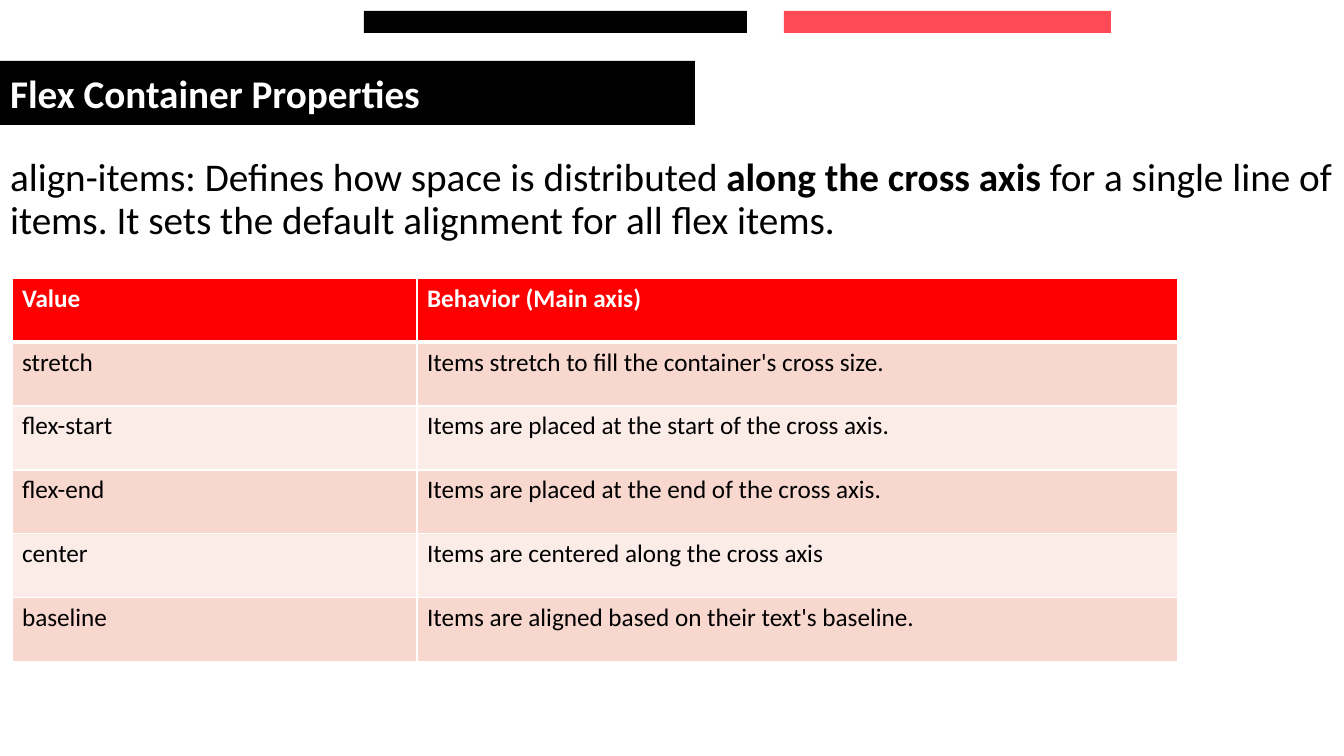
from dataclasses import dataclass

from lxml.etree import SubElement
from pptx import Presentation
from pptx.dml.color import RGBColor
from pptx.enum.shapes import MSO_SHAPE as Shape
from pptx.enum.text import MSO_ANCHOR as Anchor, MSO_AUTO_SIZE as AutoSize, PP_ALIGN as Align
from pptx.oxml.ns import qn
from pptx.util import Pt

TITLE = "Flex Container Properties"
INTRO = [
    ("align-items: Defines how space is distributed ", False),
    ("along the cross axis", True),
    (" for a single line of items. It sets the default alignment for all flex items.", False),
]
ROWS = [
    ("Value", "Behavior (Main axis)"),
    ("stretch", "Items stretch to fill the container's cross size."),
    ("flex-start", "Items are placed at the start of the cross axis."),
    ("flex-end", "Items are placed at the end of the cross axis."),
    ("center", "Items are centered along the cross axis"),
    ("baseline", "Items are aligned based on their text's baseline."),
]


@dataclass(frozen=True)
class Theme:
    font: str = "Calibri"
    large: int = 28
    small: int = 18
    black: str = "000000"
    white: str = "FFFFFF"
    coral: str = "FE4A55"
    header: str = "FF0000"
    bands: tuple = ("F8D7CE", "FCECE8")


THEME = Theme()
SLIDE = (1344, 756)
TITLE_BOX = (0, 61, 695, 64)
INTRO_BOX = (0, 153, 1344, 593)
BARS = [((364, 11, 383, 22), THEME.black), ((784, 11, 327, 22), THEME.coral)]
TABLE_AT = (12, 278)
COLUMNS = (405, 761)
ROW_HEIGHT = 64


def px(*lengths):
    return [round(length * 914400 / 100.8) for length in lengths]


def paint(target, color):
    target.fill.solid()
    target.fill.fore_color.rgb = RGBColor.from_string(color)


def place(shape, box):
    shape.left, shape.top, shape.width, shape.height = px(*box)


def write(para, text, *, size, color=THEME.black, bold=False):
    span = para.add_run()
    span.text = text
    span.font.name = THEME.font
    span.font.size = Pt(size)
    span.font.bold = bold
    span.font.color.rgb = RGBColor.from_string(color)


def add_borders(cell, widths):
    """Draw white cell edges; widths maps L, R, T, B to points."""
    properties = cell._tc.get_or_add_tcPr()
    for side, width in widths.items():
        line = SubElement(properties, qn(f"a:ln{side}"), w=str(Pt(width)))
        fill = SubElement(line, qn("a:solidFill"))
        SubElement(fill, qn("a:srgbClr"), val=THEME.white)


def add_title(page):
    title = page.shapes.title
    place(title, TITLE_BOX)
    paint(title, THEME.black)
    frame = title.text_frame
    frame.auto_size = AutoSize.NONE
    frame.vertical_anchor = Anchor.MIDDLE
    para = frame.paragraphs[0]
    para.alignment = Align.LEFT
    write(para, TITLE, size=THEME.large, color=THEME.white, bold=True)


def add_intro(page):
    body = page.placeholders[1]
    place(body, INTRO_BOX)
    body.text_frame.auto_size = AutoSize.NONE
    para = body.text_frame.paragraphs[0]
    para.line_spacing = 0.9
    para.space_before = Pt(0)
    properties = para._p.get_or_add_pPr()
    properties.set("marL", "0")
    properties.set("indent", "0")
    SubElement(properties, qn("a:buNone"))
    for text, bold in INTRO:
        write(para, text, size=THEME.large, bold=bold)


def add_bars(page):
    for box, color in BARS:
        bar = page.shapes.add_shape(Shape.RECTANGLE, *px(*box))
        bar.shadow.inherit = False
        paint(bar, color)
        bar.line.fill.background()


def add_values(page):
    size = (sum(COLUMNS), ROW_HEIGHT * len(ROWS))
    table = page.shapes.add_table(len(ROWS), len(COLUMNS), *px(*TABLE_AT, *size)).table
    for column, width in zip(table.columns, px(*COLUMNS)):
        column.width = width
    for r, row in enumerate(ROWS):
        is_header = r == 0
        color = THEME.header if is_header else THEME.bands[(r - 1) % 2]
        edges = {"L": 1, "R": 1, "T": 3 if r == 1 else 1, "B": 3 if is_header else 1}
        for c, text in enumerate(row):
            cell = table.cell(r, c)
            add_borders(cell, edges)
            paint(cell, color)
            write(cell.text_frame.paragraphs[0], text, size=THEME.small, bold=is_header,
                  color=THEME.white if is_header else THEME.black)


def main():
    deck = Presentation()
    deck.slide_width, deck.slide_height = px(*SLIDE)
    page = deck.slides.add_slide(deck.slide_layouts[1])
    add_title(page)
    add_intro(page)
    add_bars(page)
    add_values(page)
    deck.save("out.pptx")


if __name__ == "__main__":
    main()
